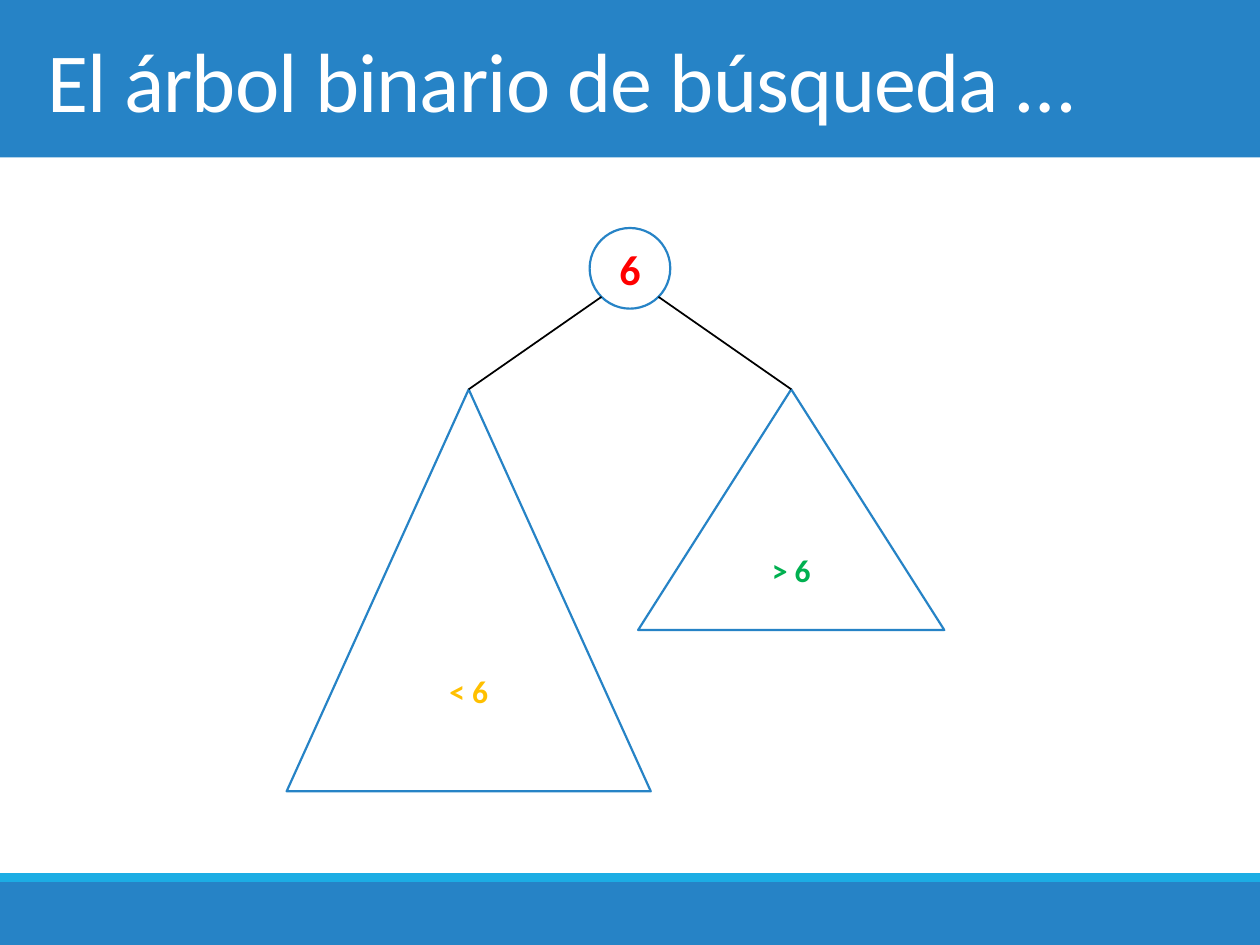
import math

from lxml import etree
from pptx import Presentation
from pptx.dml.color import RGBColor
from pptx.enum import shapes as kinds, text as txt
from pptx.oxml import ns
from pptx.util import Inches, Pt

HUES = {
    "blue": "2683C6", "cyan": "1CADE4", "white": "FFFFFF", "black": "000000",
    "red": "FF0000", "green": "00B050", "gold": "FFC000",
}
KIND = kinds.MSO_SHAPE


def hue(name):
    """Return the colour of that name."""
    return RGBColor.from_string(HUES[name])


def write(shape, words, size, color, bold=False, align=txt.PP_ALIGN.CENTER):
    """Put one styled line of text in a shape and return its run."""
    frame = shape.text_frame
    frame.word_wrap = True
    frame.vertical_anchor = txt.MSO_ANCHOR.MIDDLE
    frame.text = words
    line = frame.paragraphs[0]
    line.alignment = align
    run = line.runs[0]
    run.font.name = "Calibri"
    run.font.size = Pt(size)
    run.font.bold = bold
    run.font.color.rgb = hue(color)
    return run


def draw(slide, kind, box, fill, edge=None):
    """Add a flat preset shape in the given box."""
    shape = slide.shapes.add_shape(kind, *map(Inches, box))
    shape.shadow.inherit = False
    shape.fill.solid()
    shape.fill.fore_color.rgb = hue(fill)
    if edge:
        shape.line.color.rgb = hue(edge)
        shape.line.width = Pt(1.25)
    else:
        shape.line.fill.background()
    return shape


def header(slide, box, words):
    """Draw the title band and its text."""
    left, top, width, height = box
    draw(slide, KIND.RECTANGLE, box, "blue")
    area = (left + 0.28, top, width - 0.55, height)
    title = slide.shapes.add_textbox(*map(Inches, area))
    run = write(title, words, 48, "white", align=txt.PP_ALIGN.LEFT)
    run.font._element.set("spc", "-50")


def footer(slide, box):
    """Draw the bottom band with its thin stripe on top."""
    left, top, width, height = box
    stripe = 0.07
    draw(slide, KIND.RECTANGLE,
         (left, top + stripe, width, height - stripe), "blue")
    draw(slide, KIND.RECTANGLE, (left, top, width, stripe), "cyan")


def branch(slide, start, child):
    """Link a point on the root to the tip of a subtree."""
    x, y = map(Inches, start)
    link = slide.shapes.add_connector(kinds.MSO_CONNECTOR.STRAIGHT, x, y, x, y)
    link.end_connect(child, 0)
    link.line.color.rgb = hue("black")
    link.line.width = Pt(1)
    etree.SubElement(link._element.spPr, ns.qn("a:effectLst"))


def tree(slide, box):
    """Draw the root and its two subtrees in the given box."""
    left, top, width, height = box
    size, tip = 0.64, top + 1.28
    mid, spread = 5, 1.28
    root = draw(slide, KIND.OVAL, (mid - size / 2, top, size, size),
                "white", "blue")
    write(root, "6", 24, "red", True)
    reach = size / 2 * math.sqrt(0.5)
    subs = [
        (1, 2.43, 1.91, "> 6", "green"),
        (-1, 2.89, top + height - tip, "< 6", "gold"),
    ]
    for side, base, tall, words, color in subs:
        area = (mid + side * spread - base / 2, tip, base, tall)
        child = draw(slide, KIND.ISOSCELES_TRIANGLE, area, "white", "blue")
        write(child, words, 18, color, True)
        start = (mid + side * reach, top + size / 2 + reach)
        branch(slide, start, child)


def main():
    """Build and save the slide."""
    deck = Presentation()
    deck.slide_width, deck.slide_height = Inches(10), Inches(7.5)
    slide = deck.slides.add_slide(deck.slide_layouts[6])
    header(slide, (0, 0, 10, 1.25), "El árbol binario de búsqueda …")
    footer(slide, (0, 6.93, 10, 0.57))
    tree(slide, (2.27, 1.81, 5.22, 4.47))
    deck.save("out.pptx")


if __name__ == "__main__":
    main()
